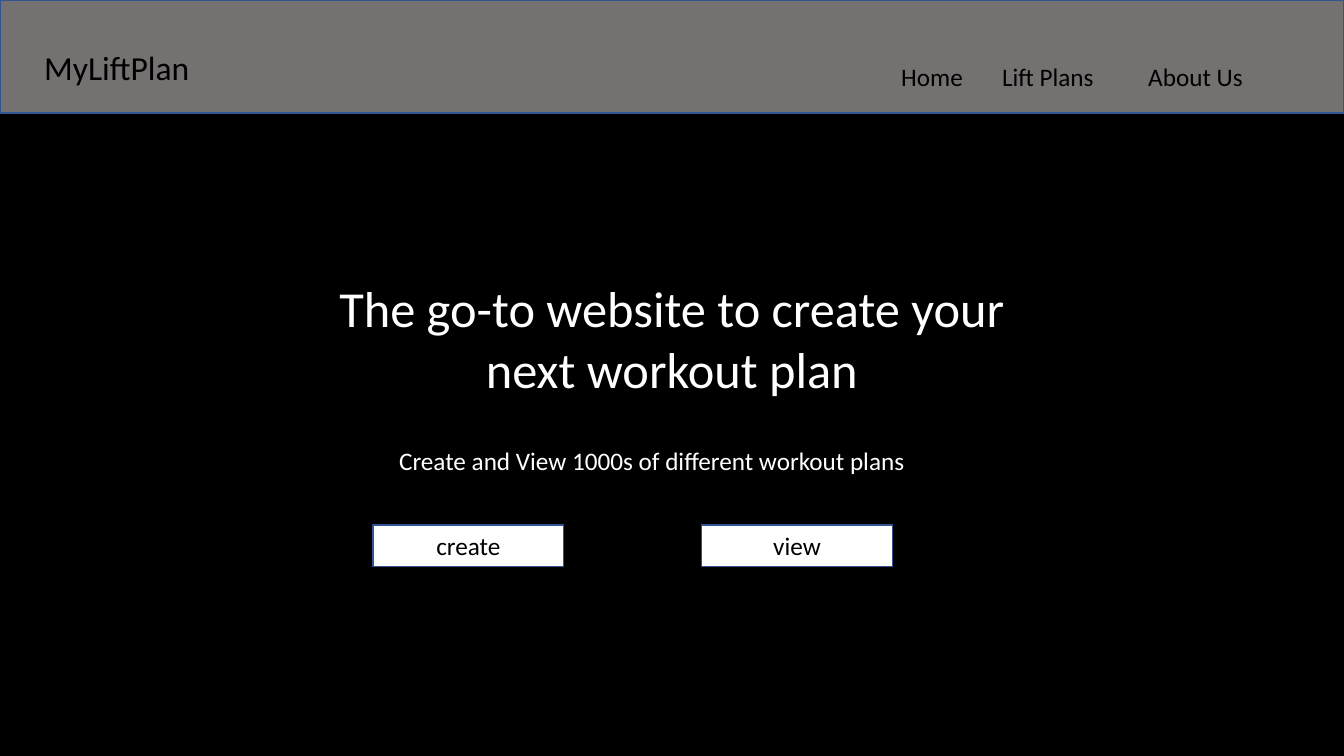
from lxml import etree
from pptx import Presentation
from pptx.dml.color import RGBColor
from pptx.enum import shapes, text
from pptx.oxml import ns
from pptx.util import Inches, Pt

FONT = "Calibri"
BLACK, WHITE, GREY, BLUE = "000000", "FFFFFF", "767171", "325491"
LEFT, CENTER = text.PP_ALIGN.LEFT, text.PP_ALIGN.CENTER


def paint(fill, color):
    fill.solid()
    fill.fore_color.rgb = RGBColor.from_string(color)


def write(box, wording, size, color, align):
    frame = box.text_frame
    frame.word_wrap = True
    para = frame.paragraphs[0]
    para.alignment = align
    span = para.add_run()
    span.text = wording
    span.font.name = FONT
    span.font.size = Pt(size)
    paint(span.font.fill, color)
    return para


def add_panel(page, left, top, width, height, color):
    panel = page.shapes.add_shape(
        shapes.MSO_SHAPE.RECTANGLE,
        Inches(left), Inches(top), Inches(width), Inches(height))
    panel.shadow.inherit = False
    paint(panel.fill, color)
    paint(panel.line.fill, BLUE)
    panel.line.width = Pt(1)
    return panel


def add_label(page, left, top, width, height, wording, size, color, align=LEFT):
    box = page.shapes.add_textbox(
        Inches(left), Inches(top), Inches(width), Inches(height))
    return write(box, wording, size, color, align)


def add_button(page, left, wording):
    button = add_panel(page, left, 5.21, 1.89, 0.41, WHITE)
    button.text_frame.vertical_anchor = text.MSO_ANCHOR.MIDDLE
    write(button, wording, 18, BLACK, CENTER)


def set_tabs(para, stops):
    tabs = etree.SubElement(para._p.get_or_add_pPr(), ns.qn("a:tabLst"))
    for stop in stops:
        etree.SubElement(tabs, ns.qn("a:tab"), pos=str(Inches(stop)), algn="l")


def main():
    deck = Presentation()
    deck.slide_width, deck.slide_height = Inches(13.33), Inches(7.5)
    page = deck.slides.add_slide(deck.slide_layouts[6])
    paint(page.background.fill, BLACK)

    # Header bar with site name and navigation
    add_panel(page, 0, 0, 13.33, 1.12, GREY)
    add_label(page, 0.34, 0.42, 3.36, 0.5, "MyLiftPlan", 24, BLACK)
    menu = add_label(page, 8.84, 0.56, 4.14, 0.4,
                     "Home\tLift Plans\tAbout Us", 18, BLACK)
    set_tabs(menu, [1, 2.45])

    # Headline and tagline
    add_label(page, 3.06, 2.7, 7.21, 1.31,
              "The go-to website to create your next workout plan",
              36, WHITE, CENTER)
    add_label(page, 3.86, 4.37, 5.79, 0.4,
              "Create and View 1000s of different workout plans", 18, WHITE)

    # Action buttons
    for left, wording in [(3.7, "create"), (6.96, "view")]:
        add_button(page, left, wording)

    deck.save("out.pptx")


main()
